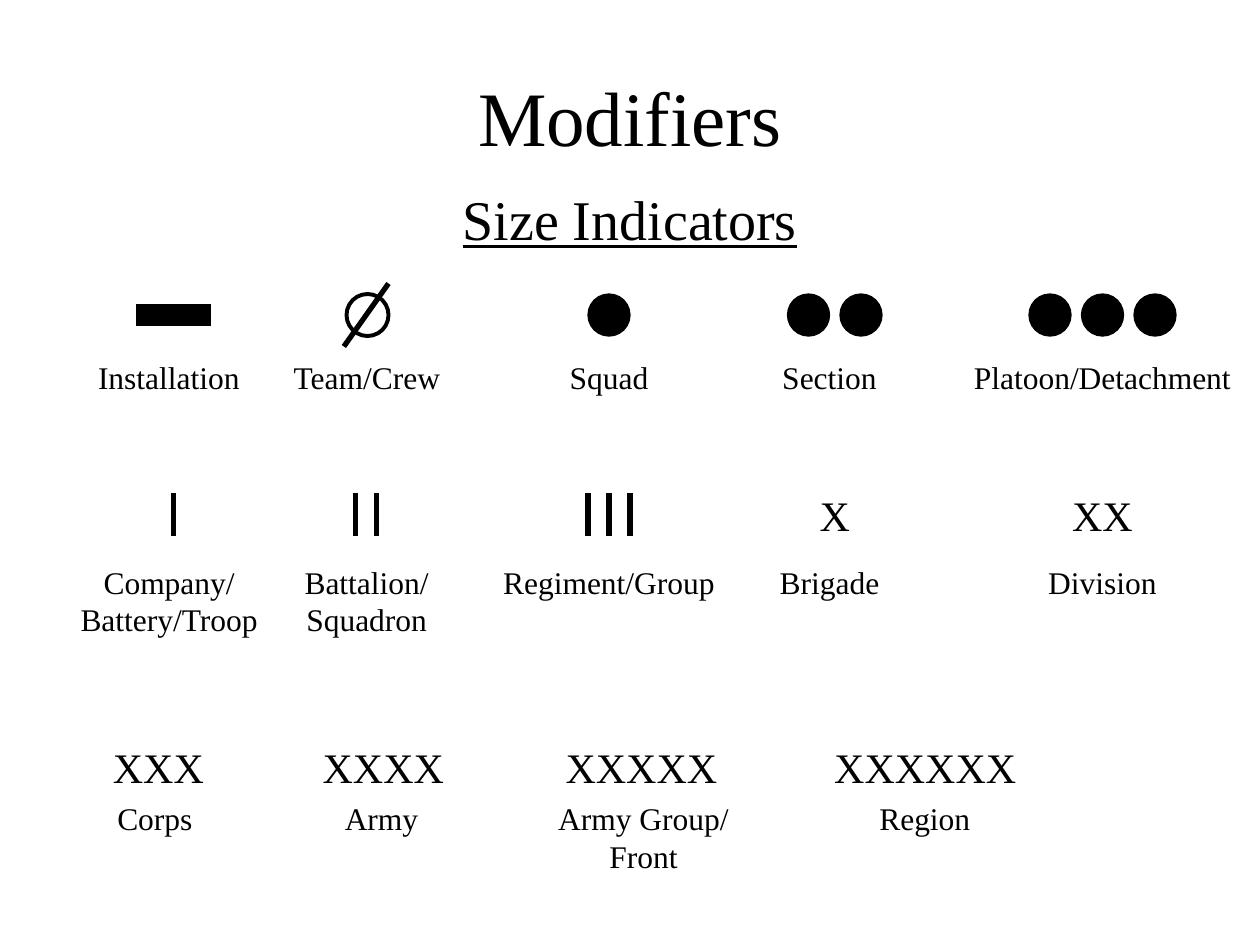
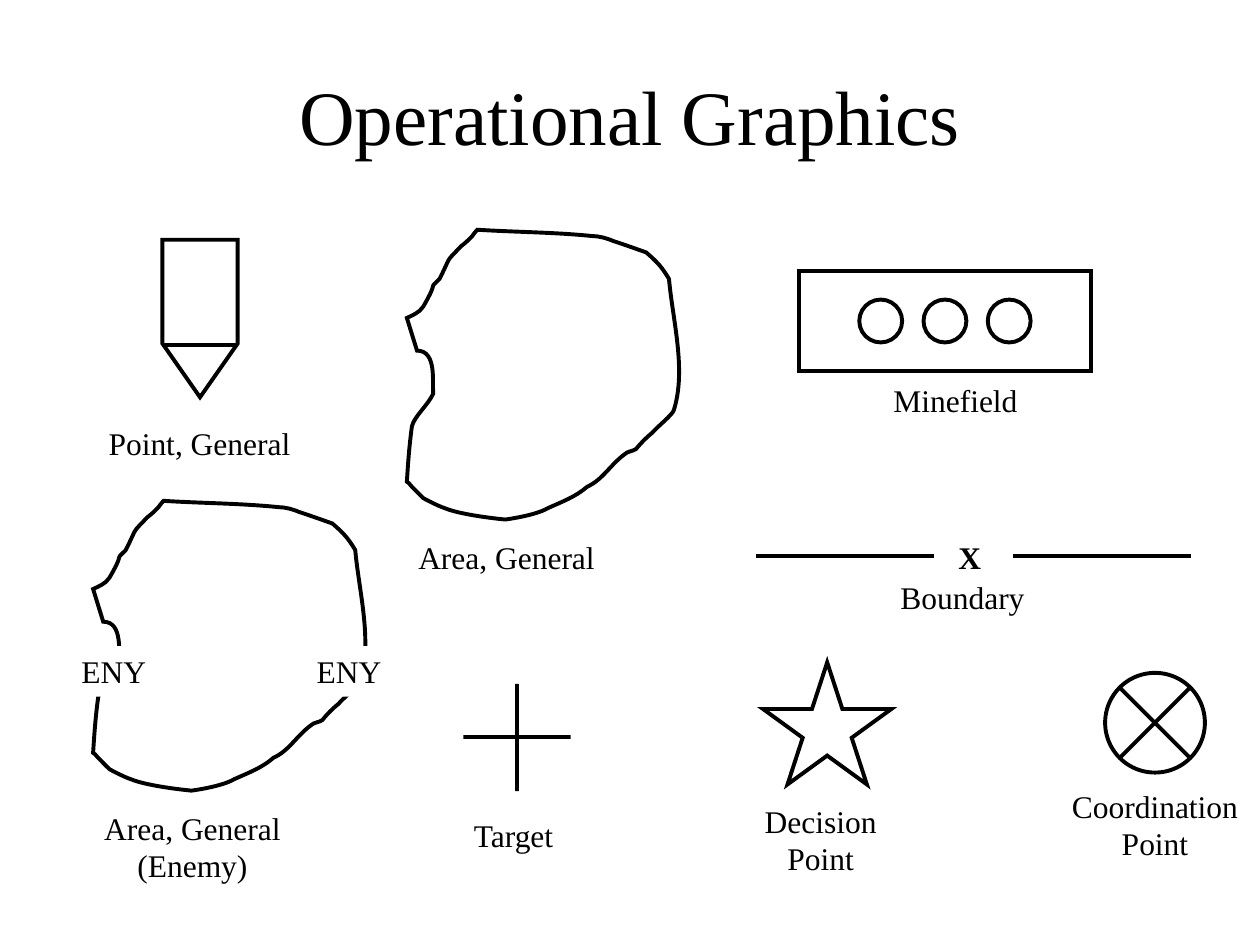
import pptx
import pptx.util
import pptx.dml.color
import pptx.enum.shapes
import pptx.enum.text
import pptx.oxml.ns
import lxml.etree

Pt = pptx.util.Pt
KIND = pptx.enum.shapes.MSO_SHAPE
FIT = pptx.enum.text.MSO_AUTO_SIZE
FONT = "Times New Roman"
BLACK, WHITE = "000000", "FFFFFF"
DISC, TICK = 24, 24

SIZES = [
    (168, 201, [
        ("bar", 1, 99, "Installation", 96.5, 95),
        ("ring", 1, 210, "Team/Crew", 209.7, 99),
        ("disc", 1, 348, "Squad", 348, 59),
        ("disc", 2, 477, "Section", 474, 68),
        ("disc", 3, 630, "Platoon/Detachment", 630, 161),
    ]),
    (282, 318, [
        ("tick", 1, 99, "Company/\nBattery/Troop", 96.7, 116),
        ("tick", 2, 209, "Battalion/\nSquadron", 209.5, 85),
        ("tick", 3, 348, "Regiment/Group", 348, 135),
        ("X", 1, 477, "Brigade", 474, 71),
        ("X", 2, 630, "Division", 630, 76),
    ]),
    (420, 453, [
        ("X", 3, 90.5, "Corps", 88.5, 57),
        ("X", 4, 219, "Army", 218, 56),
        ("X", 5, 366.5, "Army Group/\nFront", 367.7, 112),
        ("X", 6, 528.7, "Region", 528.5, 66),
    ]),
]

NAMES = [
    ("Point, General", 114, 238.5, 118),
    ("Area, General", 289.5, 304, 115),
    ("Minefield", 546, 214, 85),
    ("Target", 293.5, 463, 61),
    ("Decision\nPoint", 469, 454.5, 78),
    ("Coordination\nPoint", 660, 446, 109),
    ("Area, General\n(Enemy)", 110, 458.5, 115),
]

START = (0, 50.4)
CURVES = [
    ((2.9, 49), (7.2, 47.5), (9.4, 43.9)),
    ((19.4, 26.6), (10.8, 36), (18.7, 28.1)),
    ((25.9, 13.7), (21.6, 19.4), (31, 9.4)),
    ((33.1, 7.9), (35.3, 5.8), (37.4, 3.6)),
    ((38.2, 2.2), (40.3, 0), (40.3, 0)),
    ((61.9, 1.4), (84.2, 1.4), (105.8, 3.6)),
    ((110.2, 3.6), (114.5, 5), (118.1, 6.5)),
    ((124.6, 8.6), (136.8, 13), (136.8, 13)),
    ((143.3, 18.7), (145.4, 20.9), (149.8, 28.1)),
    ((151.9, 51.8), (159.8, 79.9), (152.6, 103)),
    ((151.9, 105.8), (142.6, 113), (140.4, 115.9)),
    ((136.8, 118.8), (133.9, 121.7), (131, 125.3)),
    ((128.9, 126.7), (126, 126.7), (124.6, 128.2)),
    ((115.9, 134.6), (112.3, 142.6), (103, 146.9)),
    ((96.5, 152.6), (88.6, 155.5), (80.6, 159.1)),
    ((73.4, 163.4), (56.2, 165.6), (56.2, 165.6)),
    ((49, 164.9), (30.2, 162.7), (21.6, 159.1)),
    ((17.3, 157.7), (9.4, 153.4), (9.4, 153.4)),
    ((7.2, 151.2), (5, 149), (2.9, 146.9)),
    ((2.2, 145.4), (0, 144), (0, 144)),
    ((0.7, 133.2), (1.4, 123.1), (2.9, 112.3)),
    ((4.3, 106.6), (12.2, 100.1), (15.1, 93.6)),
    ((14.4, 87.1), (17.3, 69.1), (5.8, 69.1)),
]


def color(code):
    return pptx.dml.color.RGBColor.from_string(code)


def paint(fill, code):
    if code:
        fill.solid()
        fill.fore_color.rgb = color(code)
    else:
        fill.background()


def extend(node, tag, **attrs):
    return lxml.etree.SubElement(node, pptx.oxml.ns.qn(tag), **attrs)


def style(shape, fill=None, width=2.25):
    shape.shadow.inherit = False
    paint(shape.fill, fill)
    shape.line.color.rgb = color(BLACK)
    shape.line.width = Pt(width)
    extend(shape._element.spPr.find(pptx.oxml.ns.qn("a:ln")), "a:miter", lim="800000")


def draw(art, kind, x, y, w, h, adjust=(), **look):
    shape = art.add_shape(kind, Pt(x), Pt(y), Pt(w), Pt(h))
    for spot, value in enumerate(adjust):
        shape.adjustments[spot] = value
    style(shape, **look)


def rule(art, x1, y1, x2, y2, width=2.25):
    line = art.add_connector(pptx.enum.shapes.MSO_CONNECTOR.STRAIGHT,
                             Pt(x1), Pt(y1), Pt(x2), Pt(y2))
    line.line.color.rgb = color(BLACK)
    line.line.width = Pt(width)
    extend(line._element.spPr, "a:effectLst")


def write(frame, text, size=18, bold=False, under=False):
    frame.text = text
    for para in frame.paragraphs:
        para.alignment = pptx.enum.text.PP_ALIGN.CENTER
        font = para.runs[0].font
        font.name, font.size = FONT, Pt(size)
        font.bold, font.underline = bold, under
        font.color.rgb = color(BLACK)


def label(art, text, mid, top, width, size=18, fill=None, **look):
    high = 1.2 * size * len(text.split("\n")) + 7.2
    box = art.add_textbox(Pt(mid - width / 2), Pt(top), Pt(width), Pt(high))
    paint(box.fill, fill)
    frame = box.text_frame
    write(frame, text, size, **look)
    frame.margin_left = frame.margin_right = 0
    frame.word_wrap = False
    frame.auto_size = FIT.NONE


def group(art):
    return art.add_group_shape().shapes


def start(deck, text, top, high):
    page = deck.slides.add_slide(deck.slide_layouts[5])
    title = page.shapes.title
    title.left, title.top, title.width, title.height = map(Pt, (54, top, 612, high))
    write(title.text_frame, text, 44)
    title.text_frame.auto_size = FIT.NONE
    title.text_frame.vertical_anchor = pptx.enum.text.MSO_ANCHOR.MIDDLE
    return page.shapes


def spread(mid, count, pitch):
    return [mid + (i - (count - 1) / 2) * pitch for i in range(count)]


def symbol(art, kind, count, mid, top):
    if kind == "X":
        label(art, "X" * count, mid, top, 14.4 + 17.4 * count, size=24)
        return
    if kind == "bar":
        draw(art, KIND.RECTANGLE, mid - 21, top + 6, 42, 12, fill=BLACK, width=0.75)
        return
    if kind == "ring" or count > 1:
        art = group(art)
    if kind == "ring":
        draw(art, KIND.OVAL, mid - DISC / 2, top, DISC, DISC)
        rule(art, mid + 12, top - 6, mid - 13.5, top + 30, width=3)
    elif kind == "disc":
        for x in spread(mid, count, 30):
            draw(art, KIND.OVAL, x - DISC / 2, top, DISC, DISC, fill=BLACK, width=0.75)
    else:
        for x in spread(mid, count, 12):
            rule(art, x, top, x, top + TICK, width=3)


def bend(shape):
    ends = list(shape._element.iter(pptx.oxml.ns.qn("a:lnTo")))
    for first, second, third in zip(ends[::3], ends[1::3], ends[2::3]):
        curve = extend(first.getparent(), "a:cubicBezTo")
        first.addprevious(curve)
        for step in (first, second, third):
            curve.append(step[0])
            step.getparent().remove(step)


def area(art, left, top):
    def place(spot):
        return Pt(left + spot[0]), Pt(top + spot[1])
    pen = art.build_freeform(*place(START))
    pen.add_line_segments([place(spot) for curve in CURVES for spot in curve], close=True)
    shape = pen.convert_to_shape()
    bend(shape)
    style(shape)


def sizes(deck):
    art = start(deck, "Modifiers", 36, 60)
    label(art, "Size Indicators", 360, 102, 205, size=32, under=True)
    for top, base, cells in SIZES:
        for kind, count, mid, text, center, width in cells:
            symbol(art, kind, count, mid, top - 6 if kind == "X" and top == 282 else top)
            label(art, text, center, base, width)


def graphics(deck):
    art = start(deck, "Operational Graphics", 20.4, 90)
    draw(art, KIND.DOWN_ARROW, 92.8, 137, 43, 90, adjust=(1, 0.714))
    rule(art, 135, 197.3, 92.5, 197.3)
    area(art, 232.5, 131.3)

    mines = group(art)
    draw(mines, KIND.RECTANGLE, 456.5, 154.8, 167, 57)
    for x in spread(540, 3, 36.7):
        draw(mines, KIND.OVAL, x - 12.25, 171.2, 24.5, 24.5)

    draw(art, KIND.CROSS, 264.8, 390.8, 61.2, 61.2, adjust=(0.5,))
    draw(art, KIND.STAR_5_POINT, 436, 378.5, 73.4, 69.8)

    point = group(art)
    draw(point, KIND.OVAL, 631.5, 384.5, 57, 57)
    for side in (-20.2, 20.2):
        rule(point, 660 + side, 392.8, 660 - side, 433.2)

    border = group(art)
    for x in (432, 579):
        rule(border, x, 317.8, x + 101.8, 317.8)
    label(border, "X", 554.2, 304, 27, bold=True)
    label(border, "Boundary", 550, 326.5, 85)

    area(art, 53.2, 286.2)
    for x in (199.5, 65):
        label(art, "ENY", x, 369.3, 51, fill=WHITE)
    for name in NAMES:
        label(art, *name)


def main():
    deck = pptx.Presentation()
    deck.slide_width, deck.slide_height = Pt(720), Pt(540)
    sizes(deck)
    graphics(deck)
    deck.save("out.pptx")


if __name__ == "__main__":
    main()
